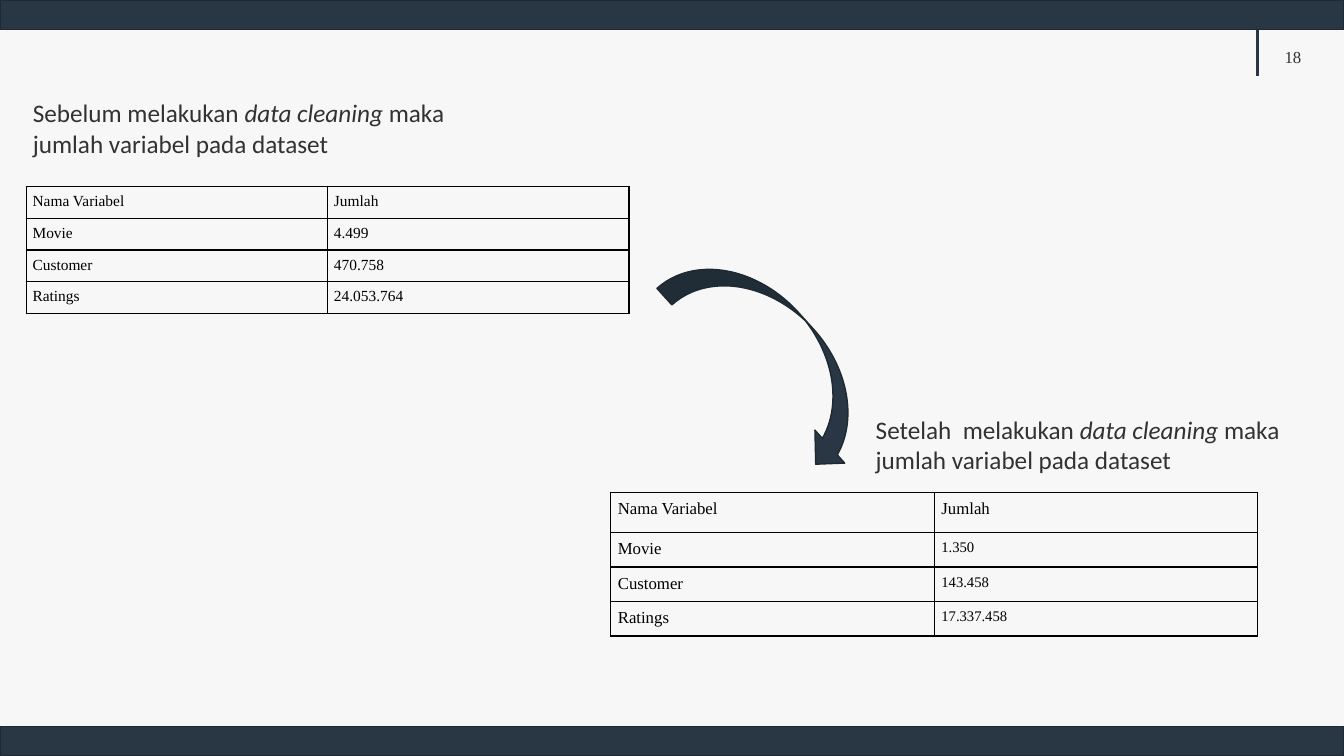
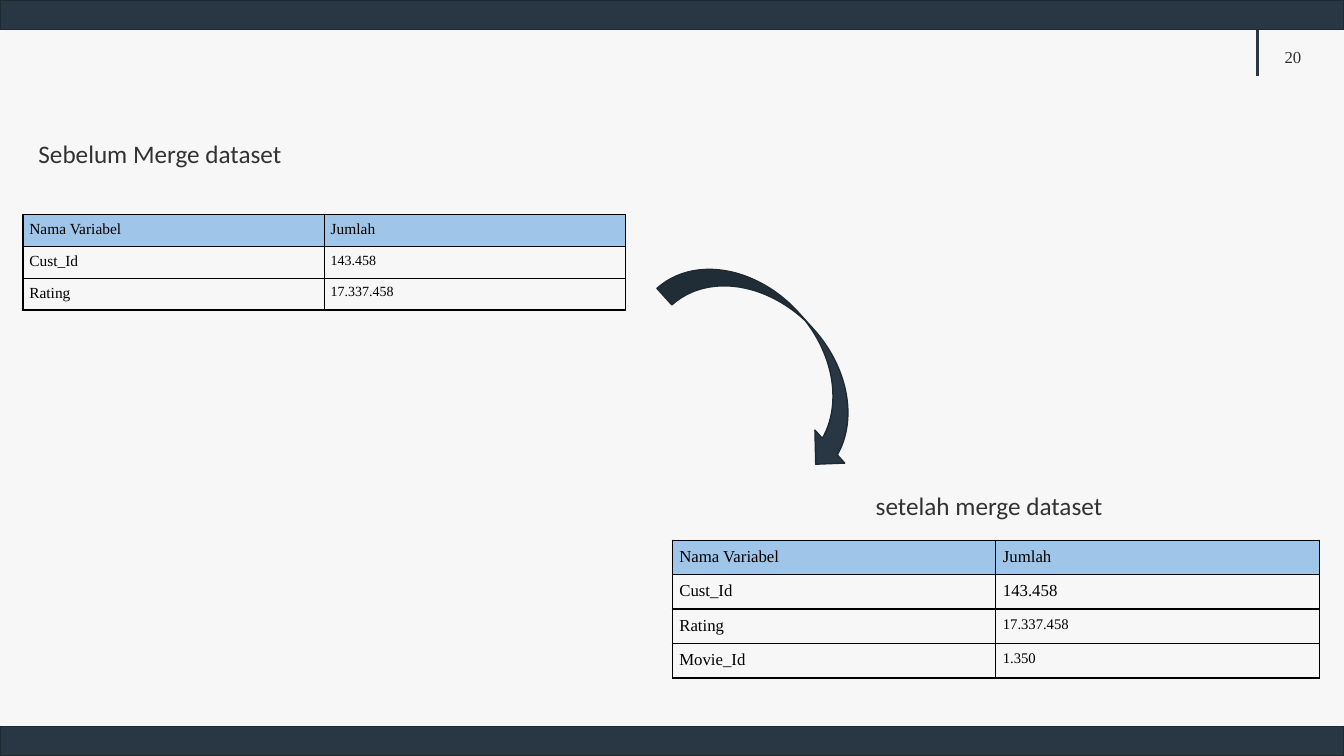
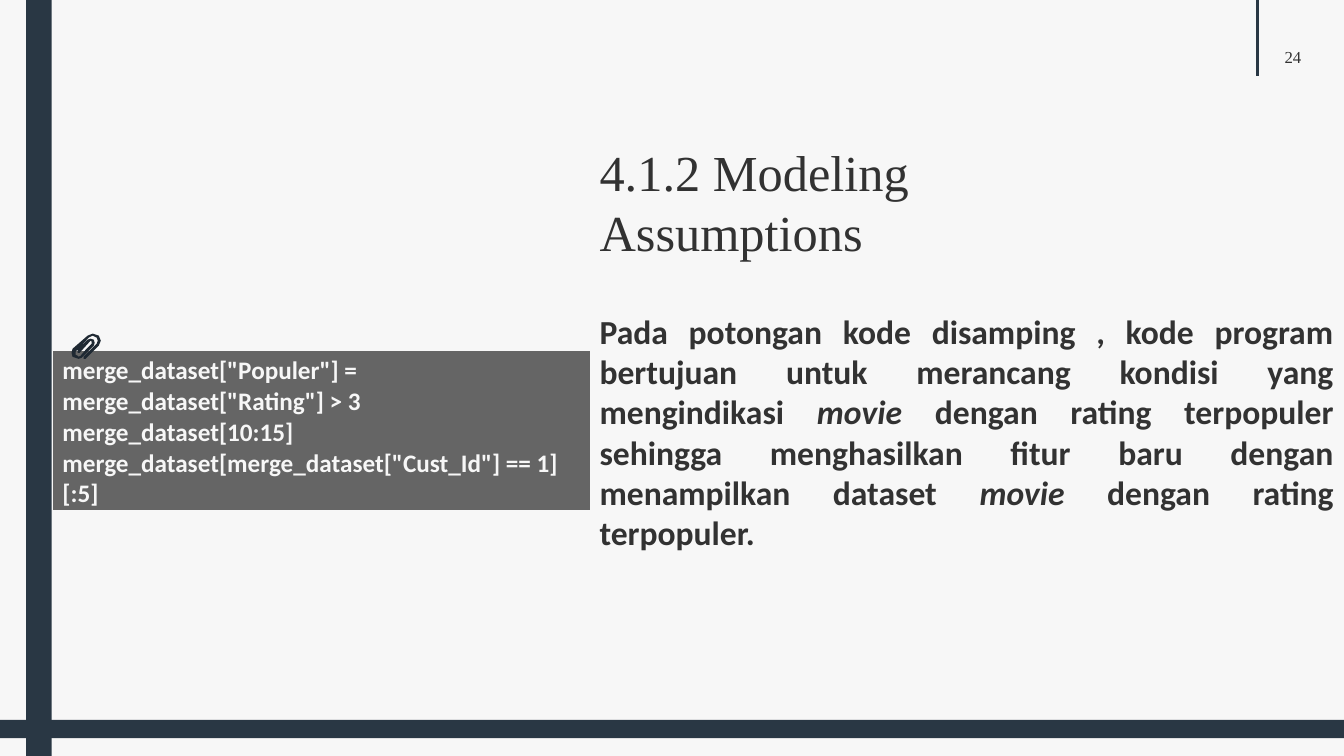
from lxml import etree
from pptx import Presentation
from pptx.dml.color import RGBColor
from pptx.enum.shapes import MSO_CONNECTOR, MSO_SHAPE
from pptx.enum.text import PP_ALIGN
from pptx.oxml.ns import qn
from pptx.util import Cm, Pt

RECTANGLE = MSO_SHAPE.RECTANGLE
BAND = MSO_SHAPE.FLOWCHART_PROCESS
CURVED_ARROW = MSO_SHAPE.CURVED_DOWN_ARROW
STRAIGHT = MSO_CONNECTOR.STRAIGHT
LEFT, CENTER, JUSTIFY = PP_ALIGN.LEFT, PP_ALIGN.CENTER, PP_ALIGN.JUSTIFY

COLORS = {
    "paper": "F7F7F7", "navy": "293744", "edge": "1E2932", "text": "323232",
    "black": "000000", "header": "9FC5E8", "code": "656565", "clip": "1F2933",
}
SANS, SERIF = "Calibri", "Times New Roman"
WIDTH, HEIGHT = 33.87, 19.05
BAND_HEIGHT = 0.74

# Content: lengths in cm, text as (words, italic) spans,
# table rows as (name, amount, amount size)
COMPARISONS = [
    {
        "number": "18",
        "captions": [
            ((0.58, 2.34, 11.86, 1.8),
             [("Sebelum melakukan ", False), ("data cleaning ", True),
              ("maka jumlah variabel pada dataset", False)]),
            ((21.82, 10.31, 12.05, 1.8),
             [("Setelah  melakukan ", False), ("data cleaning ", True),
              ("maka jumlah variabel pada dataset", False)]),
        ],
        "tables": [
            {"at": (0.66, 4.7), "width": 15.19, "heights": [0.8] * 4,
             "size": 11, "inset": 0.16, "header": None,
             "rows": [("Nama Variabel", "Jumlah", 11), ("Movie", "4.499", 11),
                      ("Customer", "470.758", 11), ("Ratings", "24.053.764", 11)]},
            {"at": (15.39, 12.42), "width": 16.31, "heights": [1.0] + [0.86] * 3,
             "size": 12, "inset": 0.18, "header": None,
             "rows": [("Nama Variabel", "Jumlah", 12), ("Movie", "1.350", 10.5),
                      ("Customer", "143.458", 10.5), ("Ratings", "17.337.458", 10.5)]},
        ],
    },
    {
        "number": "20",
        "captions": [
            ((0.72, 3.35, 11.86, 1.02), [("Sebelum Merge dataset", False)]),
            ((21.82, 12.22, 12.05, 1.02), [("setelah merge dataset", False)]),
        ],
        "tables": [
            {"at": (0.58, 5.41), "width": 15.19, "heights": [0.8] * 3,
             "size": 11, "inset": 0.16, "header": "header",
             "rows": [("Nama Variabel", "Jumlah", 11), ("Cust_Id", "143.458", 10),
                      ("Rating", "17.337.458", 10)]},
            {"at": (16.94, 13.61), "width": 16.31, "heights": [0.86] * 4,
             "size": 12, "inset": 0.18, "header": "header",
             "rows": [("Nama Variabel", "Jumlah", 12), ("Cust_Id", "143.458", 12),
                      ("Rating", "17.337.458", 10.5), ("Movie_Id", "1.350", 10.5)]},
        ],
    },
]
MODELING = {
    "number": "24",
    "title": [("4.1.2 Modeling Assumptions", False)],
    "body": [
        ("Pada potongan kode disamping , kode program bertujuan untuk merancang "
         "kondisi yang mengindikasi", False),
        (" movie ", True),
        ("dengan rating terpopuler sehingga menghasilkan fitur baru dengan "
         "menampilkan dataset ", False),
        ("movie ", True),
        ("dengan rating terpopuler.", False),
    ],
    "code": [
        'merge_dataset["Populer"] = merge_dataset["Rating"] > 3',
        "merge_dataset[10:15]",
        'merge_dataset[merge_dataset["Cust_Id"] == 1][:5]',
    ],
}
# Paperclip outline, in hundredths of an inch
CLIP_UNIT = Cm(2.54) / 100
CLIP_OUTLINE = [
    (85, 356), (83, 356), (83, 354), (96, 341), (97, 338), (96, 335), (92, 333),
    (88, 335), (75, 349), (75, 352), (77, 353), (78, 354), (80, 353), (85, 347),
    (91, 341), (91, 339), (90, 338), (89, 339), (79, 350), (77, 350), (77, 347),
    (87, 337), (90, 336), (93, 337), (94, 340), (93, 343), (87, 349), (81, 355),
    (78, 356), (75, 355), (72, 354), (71, 350), (72, 346), (87, 333), (92, 331),
    (98, 333), (100, 338), (98, 343),
]


def color(name):
    return RGBColor.from_string(COLORS[name])


def place(*lengths):
    return [Cm(length) for length in lengths]


def style(paragraph, font, size, ink, bold=False):
    paragraph.font.name = font
    paragraph.font.size = Pt(size)
    paragraph.font.bold = bold
    paragraph.font.color.rgb = color(ink)


def paint(shape, fill, edge=None):
    shape.shadow.inherit = False
    shape.fill.solid()
    shape.fill.fore_color.rgb = color(fill)
    if edge:
        shape.line.color.rgb = color(edge)
        shape.line.width = Pt(1)
    else:
        shape.line.fill.background()


def add_block(page, kind, at, edge=None):
    block = page.shapes.add_shape(kind, *place(*at))
    paint(block, "navy", edge)
    return block


def add_text(page, at, spans, font, size, bold=False, align=LEFT):
    box = page.shapes.add_textbox(*place(*at))
    box.text_frame.word_wrap = True
    para = box.text_frame.paragraphs[0]
    para.alignment = align
    style(para, font, size, "text", bold)
    for words, italic in spans:
        span = para.add_run()
        span.text = words
        if italic:
            span.font.italic = True
    return box


def set_borders(cell, ink, widths):
    """Draw the left, right, top and bottom cell borders, widths in points."""
    properties = cell._tc.get_or_add_tcPr()
    for index, (side, width) in enumerate(zip("LRTB", widths)):
        border = etree.Element(qn(f"a:ln{side}"), w=str(Pt(width)))
        fill = etree.SubElement(border, qn("a:solidFill"))
        etree.SubElement(fill, qn("a:srgbClr"), val=COLORS[ink])
        properties.insert(index, border)


def add_grid(page, at, width, heights, columns):
    frame = page.shapes.add_table(len(heights), columns, *place(*at, width, sum(heights)))
    table = frame.table
    table.first_row = table.horz_banding = False
    for column in table.columns:
        column.width = Cm(width / columns)
    for row, height in zip(table.rows, heights):
        row.height = Cm(height)
    return table


def fill_cell(cell, fill):
    if fill:
        cell.fill.solid()
        cell.fill.fore_color.rgb = color(fill)
    else:
        cell.fill.background()


def add_count_table(page, data):
    table = add_grid(page, data["at"], data["width"], data["heights"], 2)
    inset = Cm(data["inset"])
    for r, (name, amount, amount_size) in enumerate(data["rows"]):
        for c, (words, size) in enumerate([(name, data["size"]), (amount, amount_size)]):
            cell = table.cell(r, c)
            cell.margin_left = cell.margin_right = inset
            cell.margin_top = cell.margin_bottom = inset
            cell.text = words
            style(cell.text_frame.paragraphs[0], SERIF, size, "black")
            fill_cell(cell, data["header"] if r == 0 else None)
            set_borders(cell, "black", [1] * 4)


def add_code(page, lines):
    cell = add_grid(page, (1.32, 8.84), 13.56, [4], 1).cell(0, 0)
    cell.text = "\n".join(lines)
    for para in cell.text_frame.paragraphs:
        style(para, SANS, 18, "paper", bold=True)
    fill_cell(cell, "code")
    set_borders(cell, "paper", [1, 1, 1, 3])


def add_paperclip(page):
    builder = page.shapes.build_freeform(*CLIP_OUTLINE[0], scale=CLIP_UNIT)
    builder.add_line_segments(CLIP_OUTLINE[1:], close=True)
    paint(builder.convert_to_shape(), "clip")


def add_page(deck, number):
    """Start a slide with the page number and its rule."""
    page = deck.slides.add_slide(deck.slide_layouts[6])
    box = add_text(page, (31.57, 1.17, 2.03, 0.51), [(number, False)], SERIF, 12, align=CENTER)
    box.text_frame.margin_top = box.text_frame.margin_bottom = 0
    rule = page.shapes.add_connector(STRAIGHT, *place(31.7, 0, 31.7, 1.91))
    rule.line.color.rgb = color("navy")
    rule.line.width = Pt(2.25)
    etree.SubElement(rule._element.spPr, qn("a:effectLst"))
    return page


def add_comparison(deck, content):
    page = add_page(deck, content["number"])
    for data in content["tables"]:
        add_count_table(page, data)
    arrow = add_block(page, CURVED_ARROW, (16.31, 7.82, 6.53, 2.24), "edge")
    arrow.rotation = 47.9
    for at, spans in content["captions"]:
        add_text(page, at, spans, SANS, 18)
    for top in (HEIGHT - BAND_HEIGHT, 0):
        add_block(page, BAND, (0, top, WIDTH, BAND_HEIGHT), "edge")


def add_modeling(deck, content):
    page = add_page(deck, content["number"])
    add_text(page, (14.86, 3.43, 14.35, 3.33), content["title"], SERIF, 36)
    add_text(page, (14.86, 7.7, 19, 6.4), content["body"], SANS, 24, True, JUSTIFY)
    add_block(page, RECTANGLE, (0.66, 0, 0.64, HEIGHT))
    add_block(page, RECTANGLE, (0, 18.14, WIDTH, 0.46))
    add_code(page, content["code"])
    add_paperclip(page)


def main():
    deck = Presentation()
    deck.slide_width, deck.slide_height = place(WIDTH, HEIGHT)
    backdrop = deck.slide_master.background.fill
    backdrop.solid()
    backdrop.fore_color.rgb = color("paper")
    for content in COMPARISONS:
        add_comparison(deck, content)
    add_modeling(deck, MODELING)
    deck.save("out.pptx")


if __name__ == "__main__":
    main()
